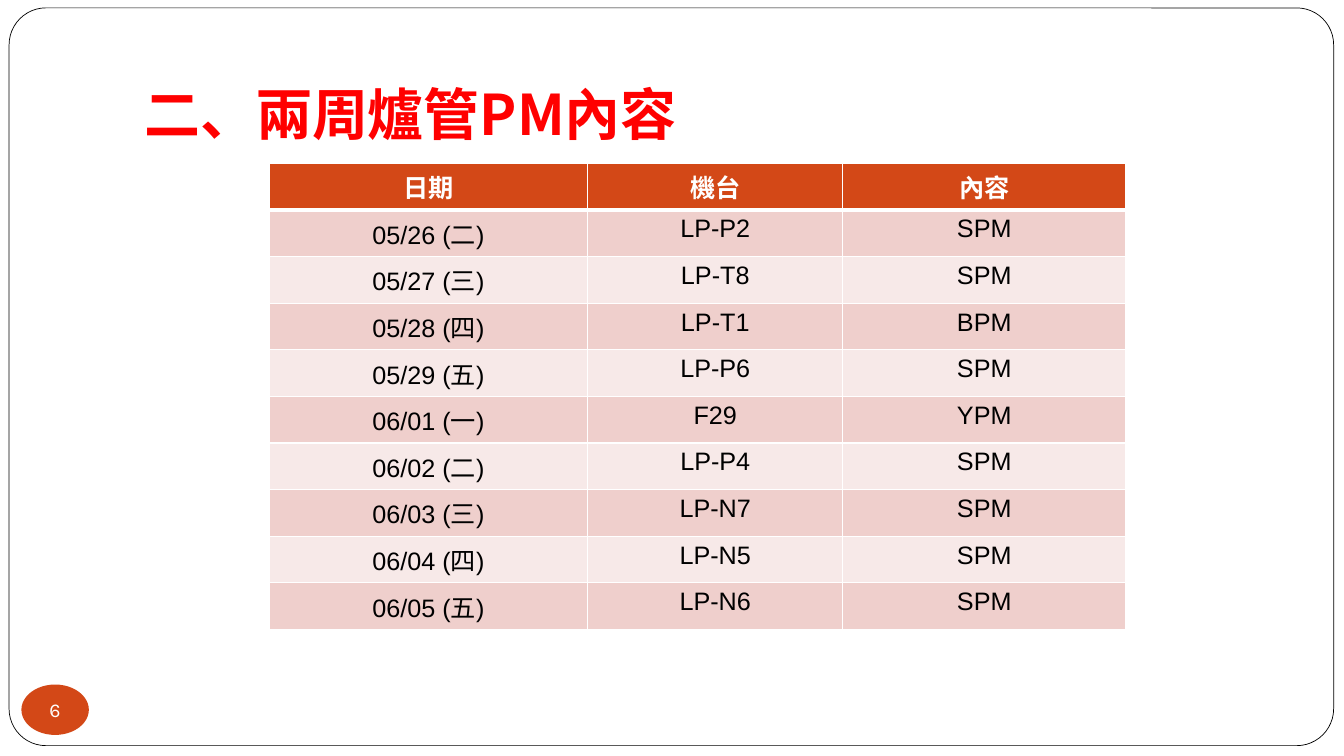
"""Build the slide listing two weeks of furnace tube maintenance."""
from lxml.etree import SubElement
from pptx import Presentation
from pptx.dml.color import RGBColor
from pptx.enum.shapes import MSO_SHAPE
from pptx.enum.text import MSO_ANCHOR, PP_ALIGN
from pptx.oxml import parse_xml
from pptx.oxml.ns import nsdecls, qn
from pptx.util import Cm, Pt

TITLE = "二、兩周爐管PM內容"
PAGE_NUMBER = "6"
HEADER = ("日期", "機台", "內容")
SCHEDULE = [
    ("05/26 (二)", "LP-P2", "SPM"),
    ("05/27 (三)", "LP-T8", "SPM"),
    ("05/28 (四)", "LP-T1", "BPM"),
    ("05/29 (五)", "LP-P6", "SPM"),
    ("06/01 (一)", "F29", "YPM"),
    ("06/02 (二)", "LP-P4", "SPM"),
    ("06/03 (三)", "LP-N7", "SPM"),
    ("06/04 (四)", "LP-N5", "SPM"),
    ("06/05 (五)", "LP-N6", "SPM"),
]
COLUMN_WIDTHS = (8.03, 6.43, 7.13)
ROW_HEIGHT = 1.17
COLORS = {
    "title": "FF0000",
    "accent": "D34817",
    "odd": "EFCFCC",
    "even": "F7E9E8",
    "white": "FFFFFF",
    "black": "000000",
}
CJK_FONT = "Noto Sans CJK SC"


def color(name):
    return RGBColor.from_string(COLORS[name])


def paint(target, name):
    target.fill.solid()
    target.fill.fore_color.rgb = color(name)


def write(paragraph, text, size, font_name, color_name, bold=False, align=PP_ALIGN.CENTER):
    paragraph.alignment = align
    run = paragraph.add_run()
    run.text = text
    run.font.size = Pt(size)
    run.font.bold = bold
    run.font.color.rgb = color(color_name)
    run.font.name = font_name
    SubElement(run.font._element, qn("a:ea")).set("typeface", CJK_FONT)


def set_borders(cell, widths):
    properties = cell._tc.get_or_add_tcPr()
    for index, (side, width) in enumerate(widths.items()):
        properties.insert(index, parse_xml(
            f'<a:ln{side} {nsdecls("a")} w="{Pt(width)}"><a:solidFill>'
            f'<a:srgbClr val="{COLORS["white"]}"/></a:solidFill></a:ln{side}>'))


def add_frame(slide):
    frame = slide.shapes.add_shape(
        MSO_SHAPE.ROUNDED_RECTANGLE, Cm(0.23), Cm(0.2), Cm(33.38), Cm(18.59))
    frame.adjustments[0] = 0.05
    frame.shadow.inherit = False
    paint(frame, "white")
    frame.line.color.rgb = color("black")
    frame.line.width = Pt(0.5)
    slide.shapes._spTree.insert(2, frame._element)


def add_title(slide):
    title = slide.shapes.title
    title.left, title.top, title.width, title.height = Cm(3.38), Cm(0.76), Cm(28.78), Cm(3.18)
    text_frame = title.text_frame
    text_frame.vertical_anchor = MSO_ANCHOR.BOTTOM
    text_frame.margin_bottom = Cm(0.25)
    write(text_frame.paragraphs[0], TITLE, 40, CJK_FONT, "title", True, PP_ALIGN.LEFT)


def add_schedule(slide):
    rows = [HEADER, *SCHEDULE]
    table = slide.shapes.add_table(
        len(rows), len(HEADER), Cm(6.78), Cm(4.12),
        Cm(sum(COLUMN_WIDTHS)), Cm(ROW_HEIGHT * len(rows))).table
    for column, width in zip(table.columns, COLUMN_WIDTHS):
        column.width = Cm(width)
    for row_index, values in enumerate(rows):
        table.rows[row_index].height = Cm(ROW_HEIGHT)
        is_header = row_index == 0
        fill = "accent" if is_header else "odd" if row_index % 2 else "even"
        font_name, font_color = ("Calibri", "white") if is_header else ("Arial", "black")
        borders = {"L": 1, "R": 1, "T": 3 if row_index == 1 else 1, "B": 3 if is_header else 1}
        for column_index, value in enumerate(values):
            cell = table.cell(row_index, column_index)
            paint(cell, fill)
            set_borders(cell, borders)
            write(cell.text_frame.paragraphs[0], value, 18, font_name, font_color, is_header)


def add_page_number(slide):
    badge = slide.shapes.add_shape(MSO_SHAPE.OVAL, Cm(0.54), Cm(17.25), Cm(1.7), Cm(1.27))
    badge.shadow.inherit = False
    paint(badge, "accent")
    badge.line.fill.background()
    text_frame = badge.text_frame
    text_frame.word_wrap = False
    text_frame.vertical_anchor = MSO_ANCHOR.MIDDLE
    text_frame.margin_left = text_frame.margin_right = 0
    text_frame.margin_top = text_frame.margin_bottom = 0
    write(text_frame.paragraphs[0], PAGE_NUMBER, 14, "Karla", "white")


def main():
    presentation = Presentation()
    presentation.slide_width, presentation.slide_height = Cm(33.87), Cm(19.05)
    slide = presentation.slides.add_slide(presentation.slide_layouts[5])
    add_frame(slide)
    add_title(slide)
    add_schedule(slide)
    add_page_number(slide)
    presentation.save("out.pptx")


if __name__ == "__main__":
    main()
